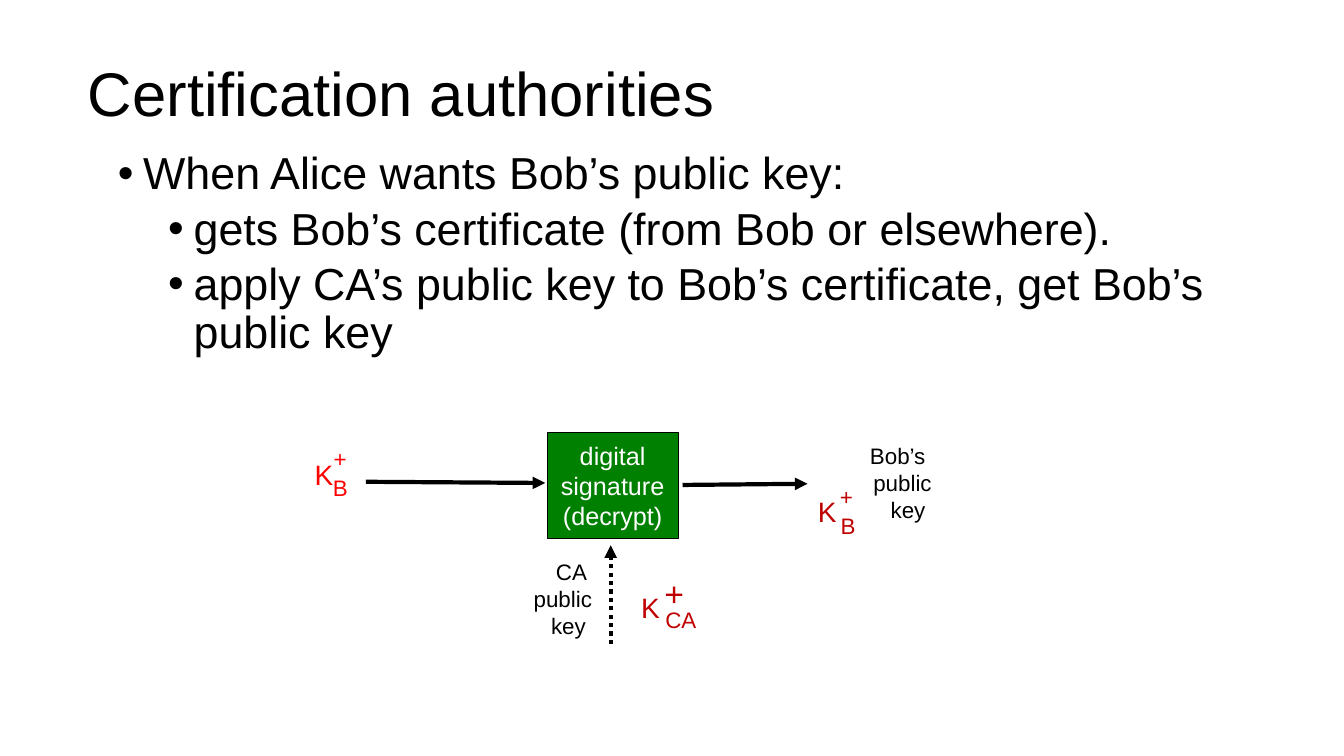
from lxml import etree
from pptx import Presentation
from pptx.dml.color import RGBColor
from pptx.enum.dml import MSO_LINE
from pptx.enum.shapes import MSO_CONNECTOR, MSO_SHAPE
from pptx.enum.text import MSO_ANCHOR, MSO_AUTO_SIZE, PP_ALIGN
from pptx.oxml.ns import qn
from pptx.util import Cm, Pt

LEFT, CENTER, RIGHT = PP_ALIGN.LEFT, PP_ALIGN.CENTER, PP_ALIGN.RIGHT
TOP, MIDDLE = MSO_ANCHOR.TOP, MSO_ANCHOR.MIDDLE
DOTTED = MSO_LINE.ROUND_DOT

BLACK = RGBColor(0x00, 0x00, 0x00)
WHITE = RGBColor(0xFF, 0xFF, 0xFF)
GREEN = RGBColor(0x00, 0x80, 0x00)
RED = RGBColor(0xFF, 0x00, 0x00)
DARK_RED = RGBColor(0xC0, 0x00, 0x00)
FONT = "Arial"

# Content: all positions and sizes in centimetres
TITLE = "Certification authorities"
BULLETS = [  # text, left margin, space before in points
    ("When Alice wants Bob’s public key:", 0.64, 0),
    ("gets Bob’s certificate (from Bob or elsewhere).", 1.91, 5),
    ("apply CA’s public key to Bob’s certificate, get Bob’s public key", 1.91, 5),
]
HANGING = 0.64
DECRYPT_BOX = (["digital", "signature", "(decrypt)"], (13.79, 10.9, 3.3, 2.67))
KEY_LABELS = [  # lines, left, top
    (["Bob’s ", "public", "key "], 21.06, 11.02),
    (["CA ", "public", "key "], 12.5, 13.94),
]
KEY_SYMBOLS = [
    # left, top, colour, then (text, x offset, y offset, width, height, size)
    (7.67, 11.4, RED, [("B", 0.46, 0.43, 0.89, 0.94, 16),
                       ("+", 0.48, -0.3, 0.84, 0.94, 16)]),
    (20.35, 12.34, DARK_RED, [("B", 0.58, 0.43, 0.89, 0.94, 16),
                              ("+", 0.56, -0.3, 0.84, 0.94, 16)]),
    (15.9, 14.76, DARK_RED, [("CA", 0.61, 0.38, 1.3, 0.94, 16),
                             ("+", 0.58, -0.46, 1.02, 1.3, 24)]),
]
LETTER = ("K ", 0, 0, 1.19, 1.12, 20)
ARROWS = [  # from, to, dash
    ((9.22, 12.14), (13.74, 12.17), None),
    ((17.2, 12.22), (20.35, 12.19), None),
    ((15.39, 16.23), (15.39, 13.74), DOTTED),
]


def write_text(shape, lines, size, color=BLACK, align=LEFT, anchor=TOP,
               wrap=True, spacing=1.0):
    """Fill a shape with one paragraph per line and return the paragraphs."""
    frame = shape.text_frame
    frame.text = "\n".join(lines)
    frame.auto_size = MSO_AUTO_SIZE.NONE
    frame.word_wrap = wrap
    frame.vertical_anchor = anchor
    for paragraph in frame.paragraphs:
        paragraph.alignment = align
        paragraph.line_spacing = spacing
        for run in paragraph.runs:
            run.font.name = FONT
            run.font.size = Pt(size)
            run.font.color.rgb = color
    return frame.paragraphs


def add_text(shapes, lines, box, **text_format):
    textbox = shapes.add_textbox(*map(Cm, box))
    return write_text(textbox, lines, **text_format)


def add_bullet(paragraph, margin, space_before):
    properties = paragraph._p.get_or_add_pPr()
    properties.set("marL", str(Cm(margin)))
    properties.set("indent", str(-Cm(HANGING)))
    paragraph.space_before = Pt(space_before)
    etree.SubElement(properties, qn("a:buFont"), typeface=FONT)
    etree.SubElement(properties, qn("a:buChar"), char="•")


def add_arrow(shapes, start, end, dash):
    arrow = shapes.add_connector(MSO_CONNECTOR.STRAIGHT,
                                 *map(Cm, start + end))
    arrow.line.color.rgb = BLACK
    arrow.line.width = Pt(3)
    if dash:
        arrow.line.dash_style = dash
    properties = arrow._element.spPr
    etree.SubElement(properties.find(qn("a:ln")), qn("a:tailEnd"),
                     type="triangle")
    etree.SubElement(properties, qn("a:effectLst"))


def add_key_symbol(shapes, left, top, color, marks):
    group = shapes.add_group_shape()
    for text, dx, dy, width, height, size in [LETTER] + marks:
        add_text(group.shapes, [text], (left + dx, top + dy, width, height),
                 size=size, color=color, align=CENTER, wrap=False)


def main():
    presentation = Presentation()
    presentation.slide_width = Cm(33.87)
    presentation.slide_height = Cm(19.05)
    slide = presentation.slides.add_slide(presentation.slide_layouts[5])
    shapes = slide.shapes

    # Title
    title = shapes.title
    title.left, title.top, title.width, title.height = map(
        Cm, (1.96, 0.84, 17.5, 3.18))
    write_text(title, [TITLE], size=44, anchor=MIDDLE, spacing=0.9)

    # Bullet list
    paragraphs = add_text(shapes, [text for text, _, _ in BULLETS],
                          (2.72, 3.68, 29.74, 12.9), size=32, spacing=0.9)
    for paragraph, (_, margin, space_before) in zip(paragraphs, BULLETS):
        add_bullet(paragraph, margin, space_before)

    # Decryption box
    lines, box = DECRYPT_BOX
    rectangle = shapes.add_shape(MSO_SHAPE.RECTANGLE, *map(Cm, box))
    rectangle.shadow.inherit = False
    rectangle.fill.solid()
    rectangle.fill.fore_color.rgb = GREEN
    rectangle.line.color.rgb = BLACK
    rectangle.line.width = Pt(0.75)
    write_text(rectangle, lines, size=18, color=WHITE, align=CENTER,
               anchor=MIDDLE, wrap=False)

    # Key labels, key symbols and arrows
    for lines, left, top in KEY_LABELS:
        add_text(shapes, lines, (left, top, 2.67, 2.29), size=16, align=RIGHT)
    for symbol in KEY_SYMBOLS:
        add_key_symbol(shapes, *symbol)
    for arrow in ARROWS:
        add_arrow(shapes, *arrow)

    presentation.save("out.pptx")


if __name__ == "__main__":
    main()
